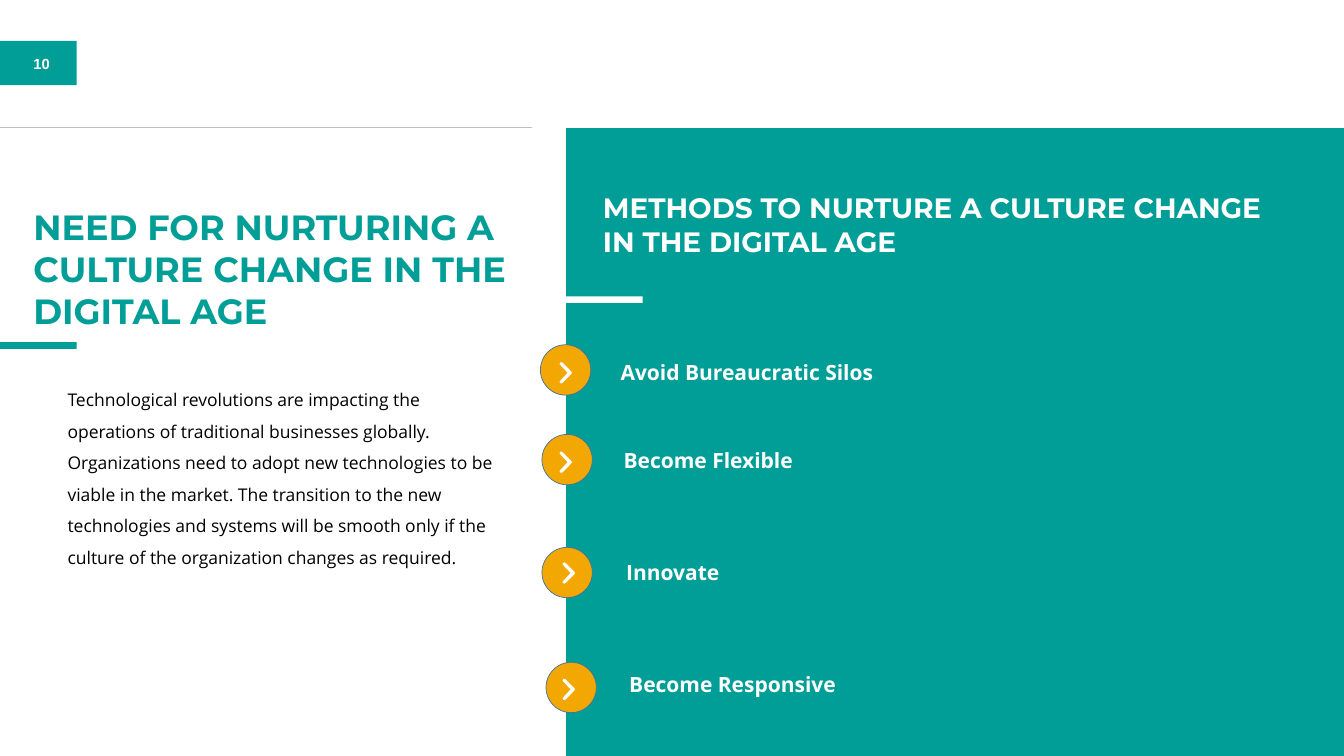
"""Build the slide on nurturing a culture change in the digital age."""
from lxml import etree
from pptx import Presentation
from pptx import util as u
from pptx.dml.color import RGBColor
from pptx.enum import shapes, text
from pptx.oxml import ns

PAGE = "10"
TITLE = "NEED FOR NURTURING A CULTURE CHANGE IN THE DIGITAL AGE"
BODY = (
    "Technological revolutions are impacting the operations of traditional businesses globally. "
    "Organizations need to adopt new technologies to be viable in the market. "
    "The transition to the new technologies and systems will be smooth only if "
    "the culture of the organization changes as required."
)
PANEL_TITLE = "METHODS TO NURTURE A CULTURE CHANGE IN THE DIGITAL AGE"
METHODS = [
    {"label": "Avoid Bureaucratic Silos", "text": (871.9, 506.2), "disc": (771.8, 492.5), "chevron": (799.2, 517.5)},
    {"label": "Become Flexible", "text": (876.2, 631.4), "disc": (774, 620.6), "chevron": (799.2, 645.2)},
    {"label": "Innovate", "text": (879.8, 792), "disc": (774, 781.9), "chevron": (803.5, 803.5)},
    {"label": "Become Responsive", "text": (884.2, 951.8), "disc": (779.8, 946.1), "chevron": (803.5, 969.8)},
]

THEME = {
    "teal": RGBColor.from_string("009E96"),
    "amber": RGBColor.from_string("F2A702"),
    "outline": RGBColor.from_string("41719C"),
    "rule": RGBColor.from_string("BFBFBF"),
    "white": RGBColor.from_string("FFFFFF"),
    "black": RGBColor.from_string("000000"),
    "page": {"name": "Arial", "size": u.Pt(21), "bold": True},
    "title": {"name": "Montserrat", "size": u.Pt(50), "bold": True},
    "panel_title": {"name": "Montserrat", "size": u.Pt(40), "bold": True},
    "body": {"name": "Open Sans", "size": u.Pt(25), "bold": False},
    "method": {"name": "Open Sans", "size": u.Pt(30), "bold": True},
}
SLIDE_SIZE = (1919.52, 1080)
PANEL = (808.56, 182.88)
ACCENT_SIZE = (109.4, 9.4)
DISC = 72
METHOD_SIZES = [(467.3, 63)] + [(372.2, 63)] * 3
NARROW_INSETS, WIDE_INSETS = (7.2, 3.6), (14.4, 7.2)
CHEVRON_HEIGHT = 30.2
CHEVRON_TOP = [
    (11.5, 15.1), (0.7, 3.6), (0, 2.2), (0.9, 0.5), (2.6, 0),
    (4.3, 0.7), (17, 13.6), (17.5, 15.1),
]


def set_values(target, values):
    for name, value in values.items():
        setattr(target, name, value)


def points(*lengths):
    return [u.Pt(length) for length in lengths]


def paint(shape, color):
    shape.shadow.inherit = False
    shape.fill.solid()
    shape.fill.fore_color.rgb = color
    shape.line.fill.background()
    return shape


def add_block(slide, kind, box, color):
    return paint(slide.shapes.add_shape(kind, *points(*box)), color)


def write(shape, box, content, style, color, insets, wrap=True, **paragraph_format):
    set_values(shape, dict(zip(("left", "top", "width", "height"), points(*box))))
    horizontal, vertical = points(*insets)
    frame = shape.text_frame
    set_values(frame, {
        "auto_size": text.MSO_AUTO_SIZE.NONE, "word_wrap": wrap,
        "vertical_anchor": text.MSO_ANCHOR.TOP,
        "margin_left": horizontal, "margin_right": horizontal,
        "margin_top": vertical, "margin_bottom": vertical,
    })
    frame.text = content
    paragraph = frame.paragraphs[0]
    set_values(paragraph, {"alignment": text.PP_ALIGN.LEFT, "space_before": u.Pt(0), **paragraph_format})
    set_values(paragraph.font, THEME[style])
    paragraph.font.color.rgb = color
    return paragraph


def add_text(slide, box, *arguments, **formats):
    return write(slide.shapes.add_textbox(*points(*box)), box, *arguments, **formats)


def add_chevron(slide, left, top):
    lower = [(x, CHEVRON_HEIGHT - y) for x, y in CHEVRON_TOP[-2:0:-1]]
    outline = [tuple(points(left + x, top + y)) for x, y in CHEVRON_TOP + lower]
    builder = slide.shapes.build_freeform(*outline[0])
    builder.add_line_segments(outline[1:], close=True)
    paint(builder.convert_to_shape(), THEME["white"])


def add_rule(slide, *ends):
    rule = slide.shapes.add_connector(shapes.MSO_CONNECTOR.STRAIGHT, *points(*ends))
    rule.line.color.rgb = THEME["rule"]
    rule.line.width = u.Pt(0.5)
    etree.SubElement(rule._element.spPr, ns.qn("a:effectLst"))


def main():
    presentation = Presentation()
    set_values(presentation, dict(zip(("slide_width", "slide_height"), points(*SLIDE_SIZE))))
    slide = presentation.slides.add_slide(presentation.slide_layouts[1])
    rectangle, oval = shapes.MSO_SHAPE.RECTANGLE, shapes.MSO_SHAPE.OVAL
    teal, white = THEME["teal"], THEME["white"]

    write(slide.shapes.title, (40.3, 290.2, 697.7, 187.2), TITLE, "title", teal, NARROW_INSETS)
    body = write(slide.placeholders[1], (89.3, 537.8, 644.4, 277.2), BODY, "body",
                 THEME["black"], NARROW_INSETS, line_spacing=1.5)
    properties = body._p.get_or_add_pPr()
    properties.set("marL", "0")
    properties.set("indent", "0")
    etree.SubElement(properties, ns.qn("a:buNone"))
    properties.append(properties.find(ns.qn("a:defRPr")))

    add_block(slide, rectangle, (0, 58.3, 109.4, 63.4), teal)
    add_text(slide, (-5.8, 70.6, 130.3, 39.6), PAGE, "page", white, WIDE_INSETS,
             wrap=False, alignment=text.PP_ALIGN.CENTER)
    add_rule(slide, 759.6, 181.4, 0, 181.4)
    add_block(slide, rectangle, (0, 488.9, *ACCENT_SIZE), teal)

    panel_size = [total - start for total, start in zip(SLIDE_SIZE, PANEL)]
    add_block(slide, rectangle, (*PANEL, *panel_size), teal)
    add_text(slide, (853.9, 268.6, 1006.6, 103.7), PANEL_TITLE, "panel_title", white, NARROW_INSETS)
    add_block(slide, rectangle, (PANEL[0], 423.4, *ACCENT_SIZE), white)

    for method, size in zip(METHODS, METHOD_SIZES):
        disc = add_block(slide, oval, (*method["disc"], DISC, DISC), THEME["amber"])
        disc.line.color.rgb = THEME["outline"]
        disc.line.width = u.Pt(1)
        add_chevron(slide, *method["chevron"])
        add_text(slide, (*method["text"], *size), method["label"], "method", white, WIDE_INSETS)

    presentation.save("out.pptx")


if __name__ == "__main__":
    main()
